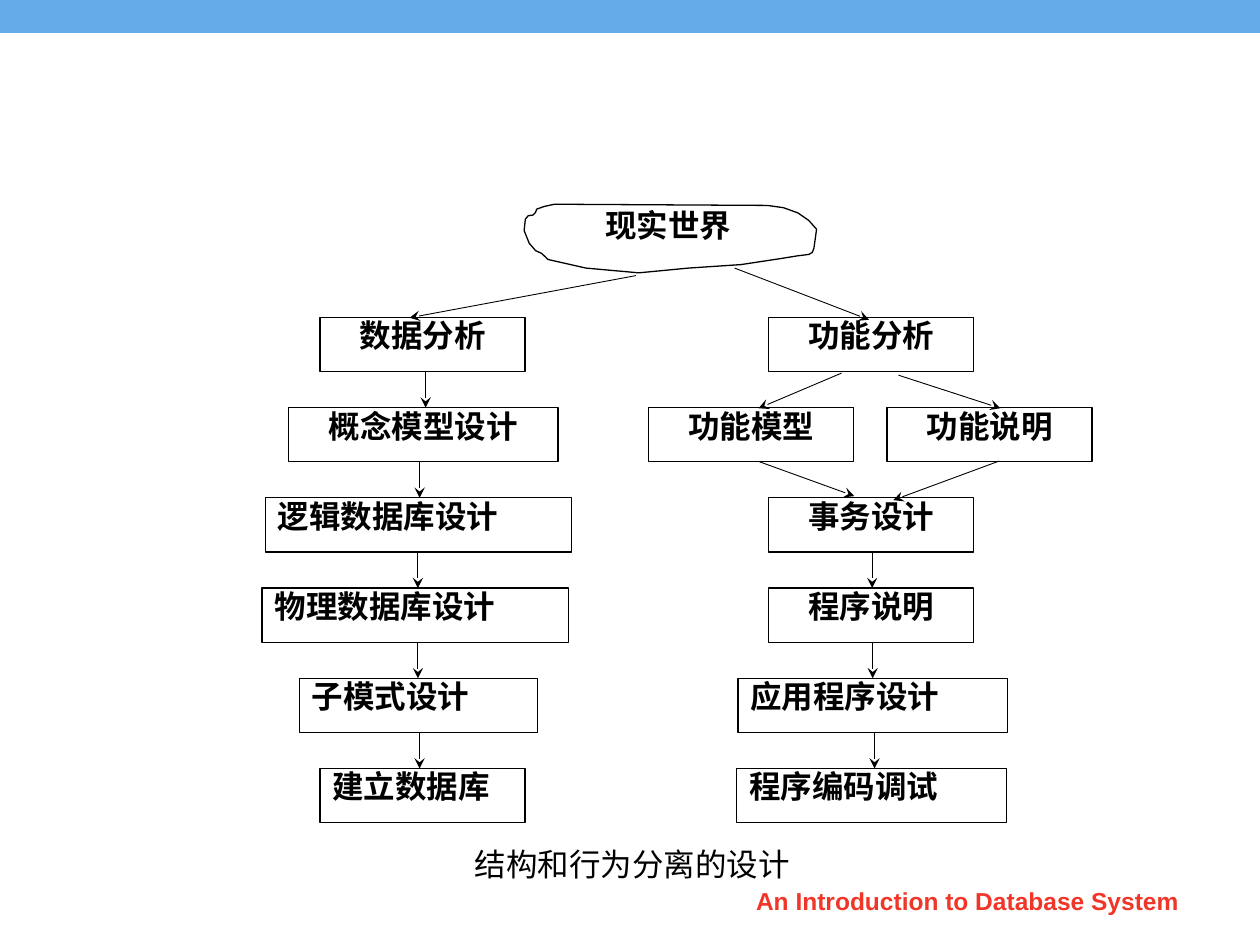
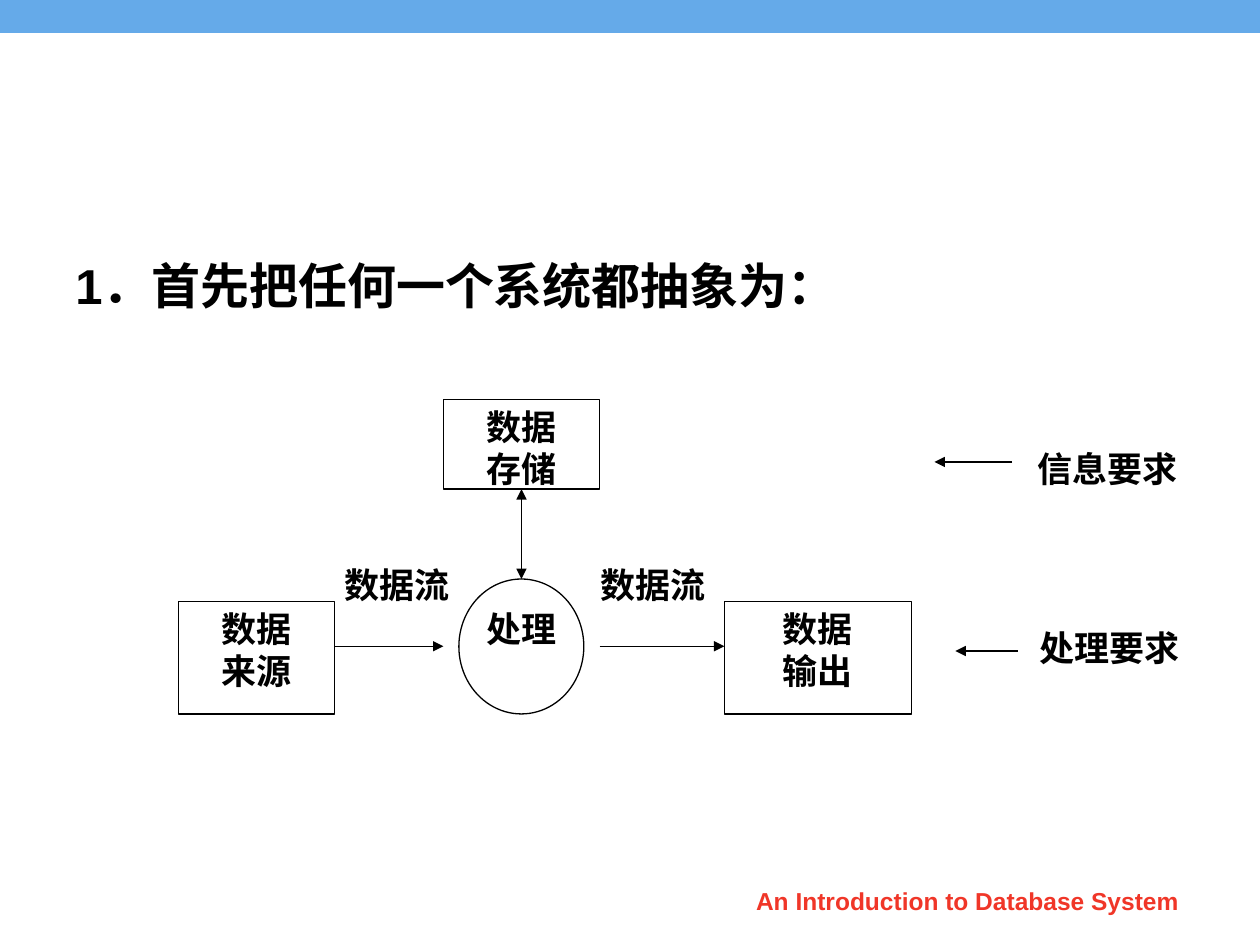
from dataclasses import dataclass

from pptx import Presentation, util as u
from pptx.dml.color import RGBColor
from pptx.enum import lang, shapes, text
from pptx.oxml.ns import qn
from lxml import etree


@dataclass(frozen=True)
class Theme:
    ink: RGBColor = RGBColor(0x00, 0x00, 0x00)
    band: RGBColor = RGBColor(0x65, 0xAA, 0xE9)
    footer: RGBColor = RGBColor(0xF0, 0x36, 0x28)
    serif: str = "Times New Roman"
    sans: str = "Arial"
    flow_size: float = 18
    system_size: float = 20
    heading_size: float = 28
    footer_size: float = 14
    outline: float = 0.75
    thin: float = 0.5


THEME = Theme()
CENTER = text.PP_ALIGN.CENTER
LEFT = text.PP_ALIGN.LEFT
JUSTIFY = text.PP_ALIGN.JUSTIFY
RECTANGLE = shapes.MSO_SHAPE.RECTANGLE
OVAL = shapes.MSO_SHAPE.OVAL


@dataclass(frozen=True)
class Frame:
    left: float
    top: float
    width: float
    height: float

    def lengths(self) -> list:
        return [u.Pt(v) for v in (self.left, self.top, self.width, self.height)]


@dataclass(frozen=True)
class TextStyle:
    size: float
    font: str = THEME.serif
    color: RGBColor = THEME.ink
    bold: bool = True
    align: text.PP_ALIGN = CENTER
    spacing: float = 1.0
    side_inset: float = 7.2
    hanging: float = 0
    wrap: bool = True
    anchor: text.MSO_ANCHOR = text.MSO_ANCHOR.TOP


@dataclass(frozen=True)
class Step:
    row: int
    left: float
    width: float
    label: str
    align: text.PP_ALIGN = CENTER


@dataclass(frozen=True)
class Arrow:
    x1: float
    y1: float
    x2: float
    y2: float
    width: float = THEME.outline
    head: str = "triangle"
    both_ends: bool = False


FLOW = TextStyle(THEME.flow_size, spacing=0.8)
FLOW_JUSTIFIED = TextStyle(THEME.flow_size, spacing=0.8, align=JUSTIFY)
CAPTION = TextStyle(THEME.flow_size, bold=False, align=LEFT, wrap=False,
                    anchor=text.MSO_ANCHOR.MIDDLE)
SYSTEM = TextStyle(THEME.system_size, side_inset=0)
HEADING = TextStyle(THEME.heading_size, THEME.sans, align=LEFT, hanging=27)
FOOTER = TextStyle(THEME.footer_size, THEME.sans, THEME.footer)

FIRST_ROW, ROW_STEP, STEP_HEIGHT = 181.4, 51.55, 31

STEPS = [
    Step(0, 182.9, 117.2, "数据分析"),
    Step(1, 164.9, 154.1, "概念模型设计"),
    Step(2, 151.7, 175, "逻辑数据库设计", JUSTIFY),
    Step(3, 149.8, 175, "物理数据库设计", JUSTIFY),
    Step(4, 171.2, 136, "子模式设计", JUSTIFY),
    Step(5, 182.9, 117.2, "建立数据库", JUSTIFY),
    Step(0, 439.2, 117.2, "功能分析"),
    Step(1, 370.7, 117.2, "功能模型"),
    Step(1, 506.9, 117.2, "功能说明"),
    Step(2, 439.2, 117.2, "事务设计"),
    Step(3, 439.2, 117.2, "程序说明"),
    Step(4, 421.8, 154.1, "应用程序设计", JUSTIFY),
    Step(5, 421.1, 154.1, "程序编码调试", JUSTIFY),
]

DOWN_ARROWS = [(0, 243.2), (1, 239.8), (2, 238.8), (3, 238.8), (4, 239.8),
               (2, 498.4), (3, 498.7), (4, 499.8)]

SLANTED_ARROWS = [
    (363.4, 157.5, 234, 181.6), (419.8, 153.2, 496.6, 182.7),
    (480.9, 213.2, 433.5, 233.3), (513.4, 214.4, 571.7, 233.3),
    (433.5, 263.7, 488.2, 283.5), (570.9, 263.5, 510.5, 285.8),
]

REAL_WORLD_OUTLINE = [
    (306.7, 119.5), (311, 118), (316.8, 116.7), (438.5, 117.4), (447.7, 118.7),
    (456, 121.7), (462.2, 126), (466.6, 131), (465.1, 141.8), (464.2, 144.2),
    (462.2, 145.4), (455.8, 146.2), (447.1, 147.6), (423.4, 151.2),
    (393.5, 153.2), (365, 155.9), (334.8, 153.2), (313.2, 148.3),
    (309.5, 144.8), (306, 143.2), (302.4, 139), (299.5, 131.8),
    (300.2, 125.3), (301.8, 123.3), (304.5, 122.9), (306, 121.4),
]


def write(shape, lines: list[str], style: TextStyle) -> None:
    frame = shape.text_frame
    frame.word_wrap = style.wrap
    frame.vertical_anchor = style.anchor
    frame.margin_left = frame.margin_right = u.Pt(style.side_inset)
    frame.margin_top = frame.margin_bottom = u.Pt(3.6)
    for index, line in enumerate(lines):
        paragraph = frame.add_paragraph() if index else frame.paragraphs[0]
        paragraph.alignment = style.align
        paragraph.line_spacing = style.spacing
        if style.hanging:
            properties = paragraph._p.get_or_add_pPr()
            properties.set("marL", str(u.Pt(style.hanging)))
            properties.set("indent", str(-u.Pt(style.hanging)))
        run = paragraph.add_run()
        run.text = line
        font = run.font
        font.name, font.size, font.bold = style.font, u.Pt(style.size), style.bold
        font.color.rgb = style.color
        font.language_id = lang.MSO_LANGUAGE_ID.SIMPLIFIED_CHINESE


def add_label(slide, frame: Frame, label: str, style: TextStyle) -> None:
    write(slide.shapes.add_textbox(*frame.lengths()), [label], style)


def outline(shape) -> None:
    shape.shadow.inherit = False
    shape.fill.background()
    shape.line.color.rgb = THEME.ink
    shape.line.width = u.Pt(THEME.outline)


def add_outlined(slide, kind, frame: Frame, lines: list[str],
                 style: TextStyle) -> None:
    shape = slide.shapes.add_shape(kind, *frame.lengths())
    outline(shape)
    write(shape, lines, style)


def add_arrow(slide, arrow: Arrow) -> None:
    ends = [u.Pt(v) for v in (arrow.x1, arrow.y1, arrow.x2, arrow.y2)]
    connector = slide.shapes.add_connector(shapes.MSO_CONNECTOR.STRAIGHT, *ends)
    connector.line.color.rgb = THEME.ink
    connector.line.width = u.Pt(arrow.width)
    line = connector.line._get_or_add_ln()
    for tag in ("a:headEnd", "a:tailEnd") if arrow.both_ends else ("a:tailEnd",):
        etree.SubElement(line, qn(tag)).set("type", arrow.head)
    etree.SubElement(connector._element.spPr, qn("a:effectLst"))


def add_base_slide(presentation):
    slide = presentation.slides.add_slide(presentation.slide_layouts[6])
    band = slide.shapes.add_shape(RECTANGLE, *Frame(0, 0, 720, 18.8).lengths())
    band.shadow.inherit = False
    band.fill.solid()
    band.fill.fore_color.rgb = THEME.band
    band.line.fill.background()
    add_label(slide, Frame(411.1, 502.6, 283.7, 25.2),
              "An Introduction to Database System", FOOTER)
    return slide


def row_top(row: int) -> float:
    return FIRST_ROW + row * ROW_STEP


def build_design_flow(presentation) -> None:
    slide = add_base_slide(presentation)
    points = [(u.Pt(x), u.Pt(y)) for x, y in REAL_WORLD_OUTLINE]
    builder = slide.shapes.build_freeform(*points[0])
    builder.add_line_segments(points[1:], close=True)
    outline(builder.convert_to_shape())
    add_label(slide, Frame(325.4, 118.1, 113, 36.7), "现实世界", FLOW)
    for step in STEPS:
        frame = Frame(step.left, row_top(step.row), step.width, STEP_HEIGHT)
        style = FLOW_JUSTIFIED if step.align == JUSTIFY else FLOW
        add_outlined(slide, RECTANGLE, frame, [step.label], style)
    vertical = [(x, row_top(row) + STEP_HEIGHT, x, row_top(row + 1))
                for row, x in DOWN_ARROWS]
    for ends in vertical + SLANTED_ARROWS:
        add_arrow(slide, Arrow(*ends, width=THEME.thin, head="stealth"))
    add_label(slide, Frame(264.2, 479.5, 198, 28.8), "结构和行为分离的设计", CAPTION)


def build_system_model(presentation) -> None:
    slide = add_base_slide(presentation)
    add_label(slide, Frame(36, 142.6, 648, 354.2),
              "1．首先把任何一个系统都抽象为：", HEADING)
    process = slide.shapes.add_shape(OVAL, *Frame(262.2, 330.9, 71.4, 77.1).lengths())
    outline(process)
    for frame, lines in [
        (Frame(253.4, 228.1, 89.2, 51.4), ["数据", "存储"]),
        (Frame(102, 343.7, 89.2, 64.3), ["数据", "来源"]),
        (Frame(413.9, 343.7, 106.9, 64.3), ["数据", "输出"]),
    ]:
        add_outlined(slide, RECTANGLE, frame, lines, SYSTEM)
    for frame, label in [
        (Frame(333.4, 318.2, 79.9, 51.1), "数据流"),
        (Frame(191.1, 318.2, 71.3, 51.1), "数据流"),
        (Frame(271.4, 343.7, 53.3, 38.2), "处理"),
        (Frame(588.2, 252, 89.3, 52.6), "信息要求"),
        (Frame(589.2, 354.2, 89.3, 41), "处理要求"),
    ]:
        add_label(slide, frame, label, SYSTEM)
    for arrow in [
        Arrow(578.4, 264, 534, 264),
        Arrow(191.2, 369.3, 253.4, 369.3),
        Arrow(342.6, 369.3, 413.9, 369.3),
        Arrow(581.6, 372, 546, 372),
        Arrow(298, 279.5, 298, 330.9, both_ends=True),
    ]:
        add_arrow(slide, arrow)


def main() -> None:
    presentation = Presentation()
    presentation.slide_width, presentation.slide_height = u.Pt(720), u.Pt(540)
    build_design_flow(presentation)
    build_system_model(presentation)
    presentation.save("out.pptx")


if __name__ == "__main__":
    main()
